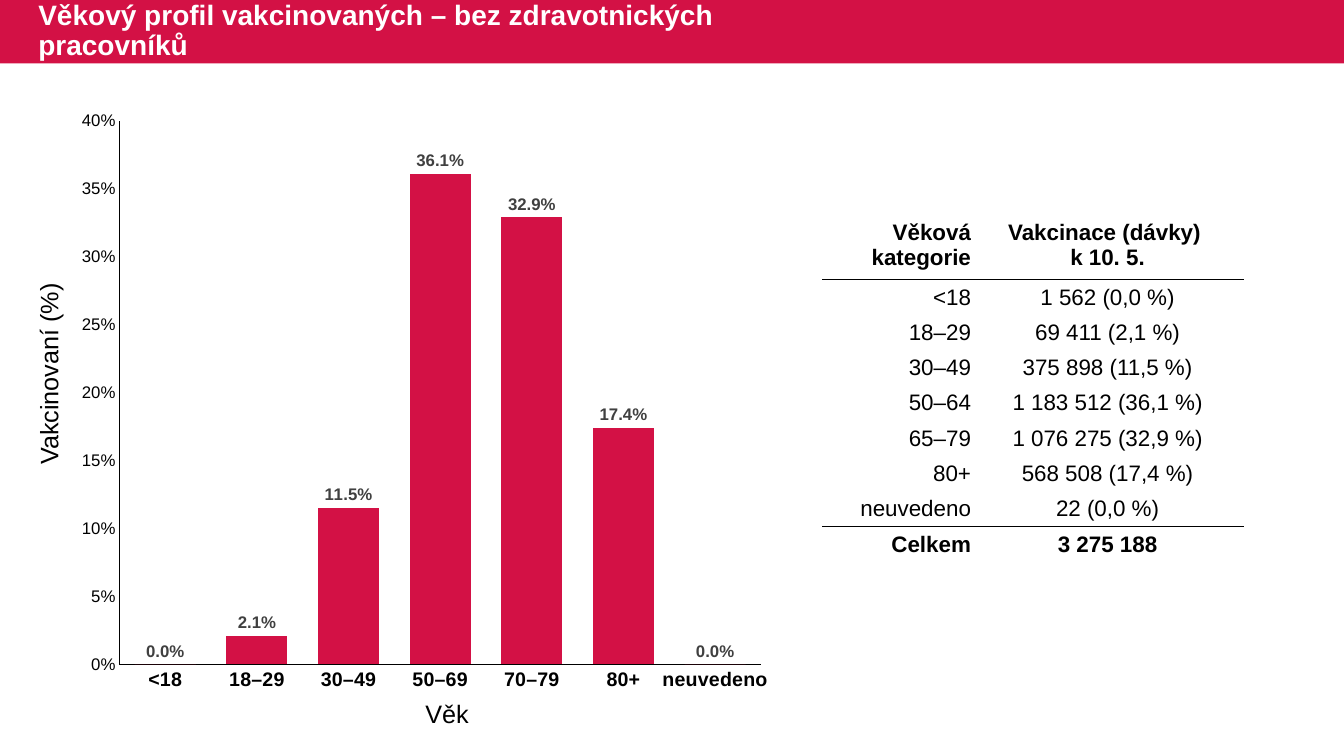
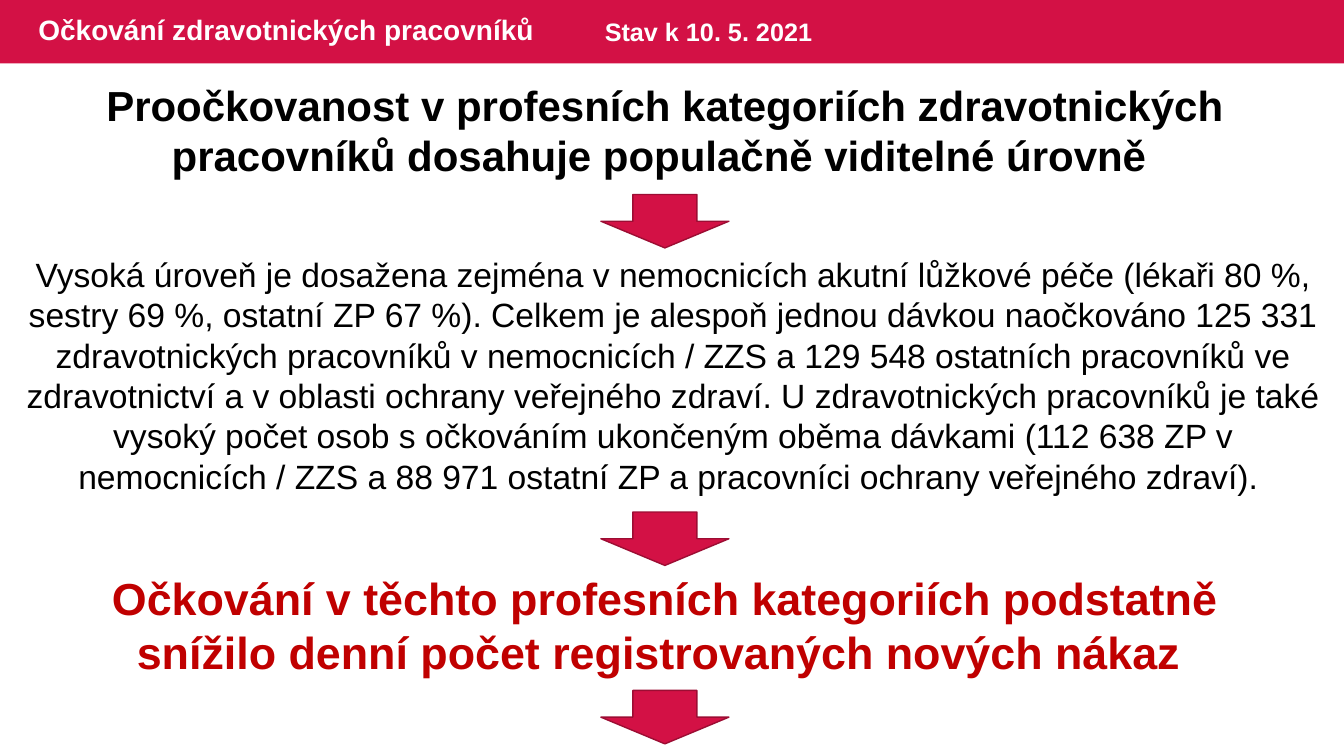
"""Builds two slides on vaccination by age and among health workers."""
from lxml import etree
from pptx import Presentation
from pptx.chart.data import CategoryChartData
from pptx.dml.color import RGBColor
from pptx.enum.chart import XL_CHART_TYPE, XL_LABEL_POSITION, XL_TICK_MARK
from pptx.enum.shapes import MSO_SHAPE
from pptx.enum.text import MSO_ANCHOR, MSO_AUTO_SIZE, PP_ALIGN
from pptx.oxml import parse_xml
from pptx.oxml.ns import nsdecls, qn
from pptx.util import Inches, Pt

COLUMNS = XL_CHART_TYPE.COLUMN_CLUSTERED
OUTSIDE_END = XL_LABEL_POSITION.OUTSIDE_END
NO_TICK = XL_TICK_MARK.NONE
RECTANGLE, DOWN_ARROW = MSO_SHAPE.RECTANGLE, MSO_SHAPE.DOWN_ARROW
MIDDLE = MSO_ANCHOR.MIDDLE
NO_FIT, GROW = MSO_AUTO_SIZE.NONE, MSO_AUTO_SIZE.SHAPE_TO_FIT_TEXT
LEFT, CENTER, RIGHT = PP_ALIGN.LEFT, PP_ALIGN.CENTER, PP_ALIGN.RIGHT

FONT = "Arial"
CRIMSON, DARK_CRIMSON, RED = "D31145", "9C0D33", "C00000"
BLACK, WHITE, GREY = "000000", "FFFFFF", "404040"
WIDTH, HEIGHT, BAND_HEIGHT = 13.33, 7.5, 0.63
TITLE_ONLY = 5
AUTO_ROTATION = "-60000000"

AGE_TITLE = "Věkový profil vakcinovaných – bez zdravotnických pracovníků"
AGE_SHARES = {
    "<18": 0, "18–29": 0.021, "30–49": 0.115, "50–69": 0.361,
    "70–79": 0.329, "80+": 0.174, "neuvedeno": 0,
}
AXIS_TITLES = [
    ("Věk", (4.12, 6.88, 0.64, 0.4), 0),
    ("Vakcinovaní (%)", (-0.53, 3.5, 2.02, 0.4), 270),
]
DOSES = [
    ("Věková kategorie", "Vakcinace (dávky) \nk 10. 5."),
    ("<18", "1 562 (0,0 %)"),
    ("18–29", "69 411 (2,1 %)"),
    ("30–49", "375 898 (11,5 %)"),
    ("50–64", "1 183 512 (36,1 %)"),
    ("65–79", "1 076 275 (32,9 %)"),
    ("80+", "568 508 (17,4 %)"),
    ("neuvedeno", "22 (0,0 %)"),
    ("Celkem", "3 275 188"),
]
DOSE_COLUMNS = [(1.48, RIGHT), (2.69, CENTER)]
HEADER_HEIGHT, ROW_HEIGHT = 0.68, 0.35

STAFF_TITLE = "Očkování zdravotnických pracovníků"
STATUS_DATE = "Stav k 10. 5. 2021"
STATEMENTS = [
    ("Proočkovanost v profesních kategoriích zdravotnických pracovníků "
     "dosahuje populačně viditelné úrovně ",
     (0.48, 0.74, 12.24, 1.11), 30, BLACK, True),
    ("Vysoká úroveň je dosažena zejména v nemocnicích akutní lůžkové péče "
     "(lékaři 80 %, sestry 69 %, ostatní ZP 67 %). Celkem je alespoň jednou "
     "dávkou naočkováno 125 331 zdravotnických pracovníků v nemocnicích / ZZS "
     "a 129 548 ostatních pracovníků ve zdravotnictví a v oblasti ochrany "
     "veřejného zdraví. U zdravotnických pracovníků je také vysoký počet osob "
     "s očkováním ukončeným oběma dávkami (112 638 ZP v nemocnicích / ZZS "
     "a 88 971 ostatní ZP a pracovníci ochrany veřejného zdraví). ",
     (0.16, 2.47, 13.03, 2.52), 24, BLACK, False),
    ("Očkování v těchto profesních kategoriích podstatně snížilo denní počet "
     "registrovaných nových nákaz ",
     (0.48, 5.61, 12.24, 1.18), 32, RED, True),
]
ARROW_TOPS = [1.93, 5.08, 6.85]


def rgb(value):
    """Return the colour for a hex string."""
    return RGBColor.from_string(value)


def set_font(font, size, color=BLACK, bold=False):
    """Apply the deck font."""
    font.name, font.size, font.bold = FONT, Pt(size), bold
    font.color.rgb = rgb(color)


def write(frame, text, size, color=BLACK, bold=False, align=LEFT):
    """Fill a text frame and format its runs."""
    frame.text = text
    for para in frame.paragraphs:
        para.alignment = align
        for span in para.runs:
            set_font(span.font, size, color, bold)


def add_text(page, text, place, size, color=BLACK, bold=False, align=LEFT, wrap=True):
    """Add a text box that grows with its text."""
    box = page.shapes.add_textbox(*map(Inches, place))
    frame = box.text_frame
    write(frame, text, size, color, bold, align)
    frame.word_wrap, frame.auto_size = wrap, GROW
    return box


def add_block(page, kind, place, line=None):
    """Add a crimson shape."""
    block = page.shapes.add_shape(kind, *map(Inches, place))
    block.shadow.inherit = False
    block.fill.solid()
    block.fill.fore_color.rgb = rgb(CRIMSON)
    if line:
        block.line.color.rgb = rgb(line)
        block.line.width = Pt(1)
    else:
        block.line.fill.background()
    return block


def add_page(deck, title, title_width):
    """Add a slide with its title in the band."""
    page = deck.slides.add_slide(deck.slide_layouts[TITLE_ONLY])
    heading = page.shapes.title
    heading.left, heading.top = Inches(0.28), Inches(0)
    heading.width, heading.height = Inches(title_width), Inches(BAND_HEIGHT)
    frame = heading.text_frame
    write(frame, title, 20, WHITE, True)
    frame.word_wrap, frame.auto_size = True, NO_FIT
    frame.vertical_anchor = MIDDLE
    frame.paragraphs[0].line_spacing = 0.9
    return page


def add_age_chart(page):
    """Add the column chart of shares by age."""
    data = CategoryChartData(number_format="0.0%")
    data.categories = list(AGE_SHARES)
    data.add_series("Series 1", list(AGE_SHARES.values()))
    place = map(Inches, (0.69, 0.96, 7.07, 5.93))
    chart = page.shapes.add_chart(COLUMNS, *place, data).chart
    chart.has_legend = chart.has_title = False
    set_font(chart.font, 10)

    shares, ages = chart.value_axis, chart.category_axis
    for axis, size, bold in [(shares, 12, False), (ages, 14, True)]:
        axis.has_major_gridlines = False
        axis.major_tick_mark = axis.minor_tick_mark = NO_TICK
        axis.format.line.color.rgb = rgb(BLACK)
        axis.format.line.width = Pt(0.75)
        set_font(axis.tick_labels.font, size, BLACK, bold)
    shares.minimum_scale, shares.maximum_scale, shares.major_unit = 0, 0.4, 0.05
    shares.tick_labels.number_format = "0%"
    shares.tick_labels.number_format_is_linked = False
    label_body = ages._element.find(qn("c:txPr")).find(qn("a:bodyPr"))
    label_body.set("rot", AUTO_ROTATION)

    plot = chart.plots[0]
    plot.gap_width, plot.overlap, plot.vary_by_categories = 50, -27, False
    series = plot.series[0]
    series.format.fill.solid()
    series.format.fill.fore_color.rgb = rgb(CRIMSON)
    plot.has_data_labels = True
    labels = plot.data_labels
    labels.show_value, labels.position = True, OUTSIDE_END
    labels.number_format, labels.number_format_is_linked = "0.0%", False
    set_font(labels.font, 12, GREY, True)

    area = chart._chartSpace.chart.plotArea
    for old in area.findall(qn("c:layout")):
        area.remove(old)
    area.insert(0, parse_xml(
        f'<c:layout {nsdecls("c")}><c:manualLayout><c:layoutTarget val="inner"/>'
        '<c:xMode val="edge"/><c:yMode val="edge"/><c:x val="0.07"/>'
        '<c:y val="0.04"/><c:w val="0.9"/><c:h val="0.91"/>'
        '</c:manualLayout></c:layout>'))


def add_border(cell, side, color):
    """Draw one edge of a table cell."""
    edge = etree.SubElement(cell._tc.get_or_add_tcPr(), qn(f"a:ln{side}"), w=str(Pt(1)))
    fill = etree.SubElement(edge, qn("a:solidFill"))
    etree.SubElement(fill, qn("a:srgbClr"), val=color)


def add_dose_table(page):
    """Add the table of doses, ruled under its header and above its total."""
    last = len(DOSES) - 1
    heights = [HEADER_HEIGHT] + [ROW_HEIGHT] * last
    width = sum(column_width for column_width, _ in DOSE_COLUMNS)
    place = map(Inches, (8.16, 2.09, width, sum(heights)))
    table = page.shapes.add_table(len(DOSES), len(DOSE_COLUMNS), *place).table
    table.first_row = table.horz_banding = False
    for column, (column_width, _) in zip(table.columns, DOSE_COLUMNS):
        column.width = Inches(column_width)
    for index, (row, texts) in enumerate(zip(table.rows, DOSES)):
        row.height = Inches(heights[index])
        top = BLACK if index in (1, last) else WHITE
        bottom = BLACK if index in (0, last - 1) else WHITE
        for cell, text, (_, align) in zip(row.cells, texts, DOSE_COLUMNS):
            write(cell.text_frame, text, 16, BLACK, index in (0, last), align)
            cell.vertical_anchor = MIDDLE
            cell.margin_left = cell.margin_right = cell.margin_top = Inches(0.01)
            cell.margin_bottom = 0
            for side, color in zip("LRTB", (WHITE, WHITE, top, bottom)):
                add_border(cell, side, color)
            cell.fill.solid()
            cell.fill.fore_color.rgb = rgb(WHITE)


def build_age_page(deck):
    """Build the slide on the age profile."""
    page = add_page(deck, AGE_TITLE, 8.45)
    band = add_block(page, RECTANGLE, (0, 0, WIDTH, BAND_HEIGHT))
    page.slide_layout.shapes.element.insert(2, band.element)
    add_age_chart(page)
    for text, place, rotation in AXIS_TITLES:
        add_text(page, text, place, 18, wrap=False).rotation = rotation
    add_dose_table(page)


def build_staff_page(deck):
    """Build the slide on health workers."""
    page = add_page(deck, STAFF_TITLE, 8.13)
    add_text(page, STATUS_DATE, (5.9, 0.11, 2.96, 0.4), 18, WHITE, True)
    for (text, place, size, color, bold), top in zip(STATEMENTS, ARROW_TOPS):
        add_text(page, text, place, size, color, bold, CENTER)
        add_block(page, DOWN_ARROW, (5.96, top, 1.27, 0.53), DARK_CRIMSON)


def main():
    """Build and save the deck."""
    deck = Presentation()
    deck.slide_width, deck.slide_height = Inches(WIDTH), Inches(HEIGHT)
    build_age_page(deck)
    build_staff_page(deck)
    deck.save("out.pptx")


if __name__ == "__main__":
    main()
